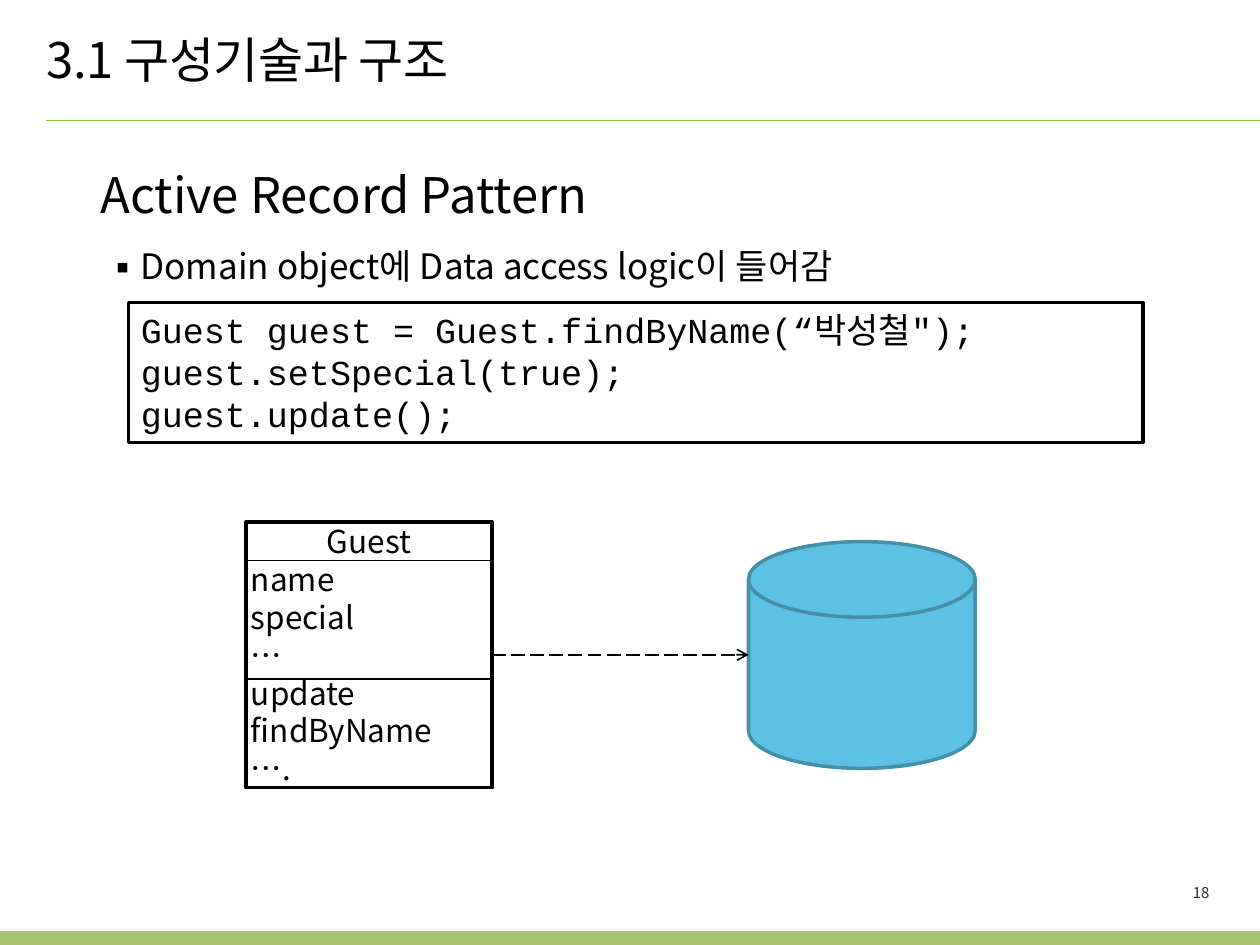
from lxml import etree
from pptx import Presentation
from pptx.dml.color import RGBColor
from pptx.enum.dml import MSO_LINE
from pptx.enum.shapes import MSO_CONNECTOR, MSO_SHAPE
from pptx.enum.text import MSO_ANCHOR, MSO_AUTO_SIZE, PP_ALIGN
from pptx.oxml.ns import qn
from pptx.util import Cm, Pt

RECT = MSO_SHAPE.RECTANGLE
PROCESS = MSO_SHAPE.FLOWCHART_PROCESS
DISK = MSO_SHAPE.FLOWCHART_MAGNETIC_DISK
STRAIGHT = MSO_CONNECTOR.STRAIGHT
LONG_DASH = MSO_LINE.LONG_DASH
TOP, MIDDLE = MSO_ANCHOR.TOP, MSO_ANCHOR.MIDDLE
LEFT, CENTER, RIGHT = PP_ALIGN.LEFT, PP_ALIGN.CENTER, PP_ALIGN.RIGHT
NO_FIT = MSO_AUTO_SIZE.NONE

SANS = "Noto Sans CJK KR"
MONO = "Courier New"
COLORS = {
    "black": "000000",
    "white": "FFFFFF",
    "number": "262626",
    "rule": "80C535",
    "footer": "A7C571",
    "disk": "5DC1E3",
    "disk_line": "458FA8",
}


def rgb(name):
    return RGBColor.from_string(COLORS[name])


def add_bullet(p, char, indent):
    pPr = p._p.get_or_add_pPr()
    pPr.set("marL", str(indent))
    pPr.set("indent", str(-indent))
    etree.SubElement(pPr, qn("a:buFont")).set("typeface", SANS)
    etree.SubElement(pPr, qn("a:buChar")).set("char", char)


def write(sp, lines, size, font=SANS, color="black", anchor=TOP, inset=None,
          bullet=None, **paragraph_format):
    tf = sp.text_frame
    frame_format = {"word_wrap": True, "auto_size": NO_FIT, "vertical_anchor": anchor}
    if inset is not None:
        for side in ("left", "top", "right", "bottom"):
            frame_format[f"margin_{side}"] = inset
    for name, value in frame_format.items():
        setattr(tf, name, value)
    for i, line in enumerate(lines):
        p = tf.paragraphs[0] if i == 0 else tf.add_paragraph()
        for name, value in {"alignment": LEFT, **paragraph_format}.items():
            setattr(p, name, value)
        if bullet:
            add_bullet(p, bullet, Cm(0.42))
        r = p.add_run()
        r.text = line
        for name, value in {"name": font, "size": Pt(size)}.items():
            setattr(r.font, name, value)
        r.font.color.rgb = rgb(color)
        etree.SubElement(r._r.get_or_add_rPr(), qn("a:ea")).set("typeface", SANS)


def set_title(slide, box, text):
    sp = slide.shapes.title
    for name, value in zip(("left", "top", "width", "height"), box):
        setattr(sp, name, Cm(value))
    write(sp, [text], 28, line_spacing=Pt(23))
    sp.text_frame.paragraphs[0].runs[0]._r.get_or_add_rPr().set("spc", "-20")


def add_text(slide, box, lines, size, **text_format):
    sp = slide.shapes.add_textbox(*map(Cm, box))
    write(sp, lines, size, **text_format)


def add_box(slide, kind, box, fill, line=None):
    sp = slide.shapes.add_shape(kind, *map(Cm, box))
    sp.shadow.inherit = False
    sp.fill.solid()
    sp.fill.fore_color.rgb = rgb(fill)
    if line:
        sp.line.color.rgb = rgb(line)
        sp.line.width = Pt(2)
    else:
        sp.line.fill.background()
    return sp


def add_line(slide, x1, x2, y, color, width):
    cx = slide.shapes.add_connector(STRAIGHT, Cm(x1), Cm(y), Cm(x2), Cm(y))
    cx.line.color.rgb = rgb(color)
    cx.line.width = Pt(width)
    etree.SubElement(cx._element.spPr, qn("a:effectLst"))
    return cx


def add_dashed_arrow(slide, source, x1, x2, y):
    cx = add_line(slide, x1, x2, y, "black", 1)
    cx.begin_connect(source, 3)
    cx.line.dash_style = LONG_DASH
    etree.SubElement(cx.line._get_or_add_ln(), qn("a:tailEnd")).set("type", "arrow")


def main():
    prs = Presentation()
    prs.slide_width, prs.slide_height = Cm(25.4), Cm(19.05)
    slide = prs.slides.add_slide(prs.slide_layouts[5])

    add_line(slide, 0.92, 25.4, 2.43, "rule", 0.25)
    add_text(slide, (19.33, 17.65, 5.3, 0.69), ["18"], 8.5, color="number",
             anchor=MIDDLE, alignment=RIGHT)
    add_box(slide, RECT, (0, 18.77, 25.4, 0.33), "footer")

    set_title(slide, (0.69, 0.84, 11.73, 1.12), "3.1 구성기술과 구조")
    add_text(slide, (1.88, 4.39, 20.45, 4.11),
             ["Domain object에 Data access logic이 들어감"], 20,
             bullet="▪", line_spacing=1.5)
    add_text(slide, (1.78, 2.59, 16.66, 1.88), ["Active Record Pattern"], 28,
             line_spacing=1.5)

    code = add_box(slide, RECT, (2.59, 6.1, 20.45, 2.82), "white", "black")
    write(code, ['Guest guest = Guest.findByName(“박성철");',
                 "guest.setSpecial(true);", "guest.update();"], 20, font=MONO)

    add_box(slide, DISK, (15.09, 10.92, 4.57, 4.57), "disk", "disk_line")
    left, right = 4.96, 9.92
    guest = add_box(slide, PROCESS, (left, 10.52, right - left, 5.36), "white", "black")
    write(guest, ["Guest", "name", "special", "…", "update", "findByName", "…."], 18,
          anchor=MIDDLE, inset=Cm(0.1), line_spacing=1.0)
    guest.text_frame.paragraphs[0].alignment = CENTER
    add_dashed_arrow(slide, guest, right, 15.09, 13.2)
    for y in (11.3, 13.69):
        add_line(slide, left, right, y, "black", 0.75)

    prs.save("out.pptx")


if __name__ == "__main__":
    main()
